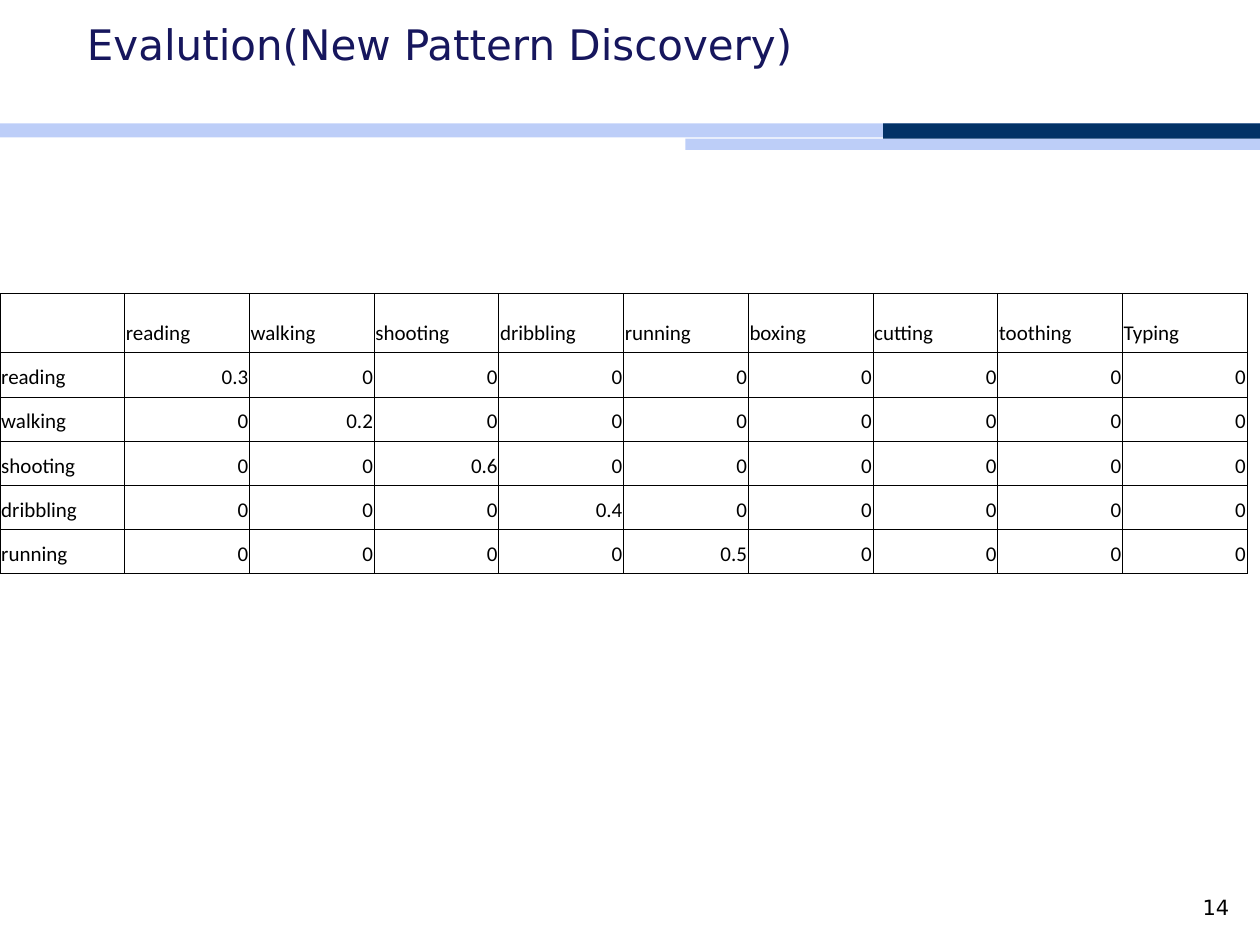
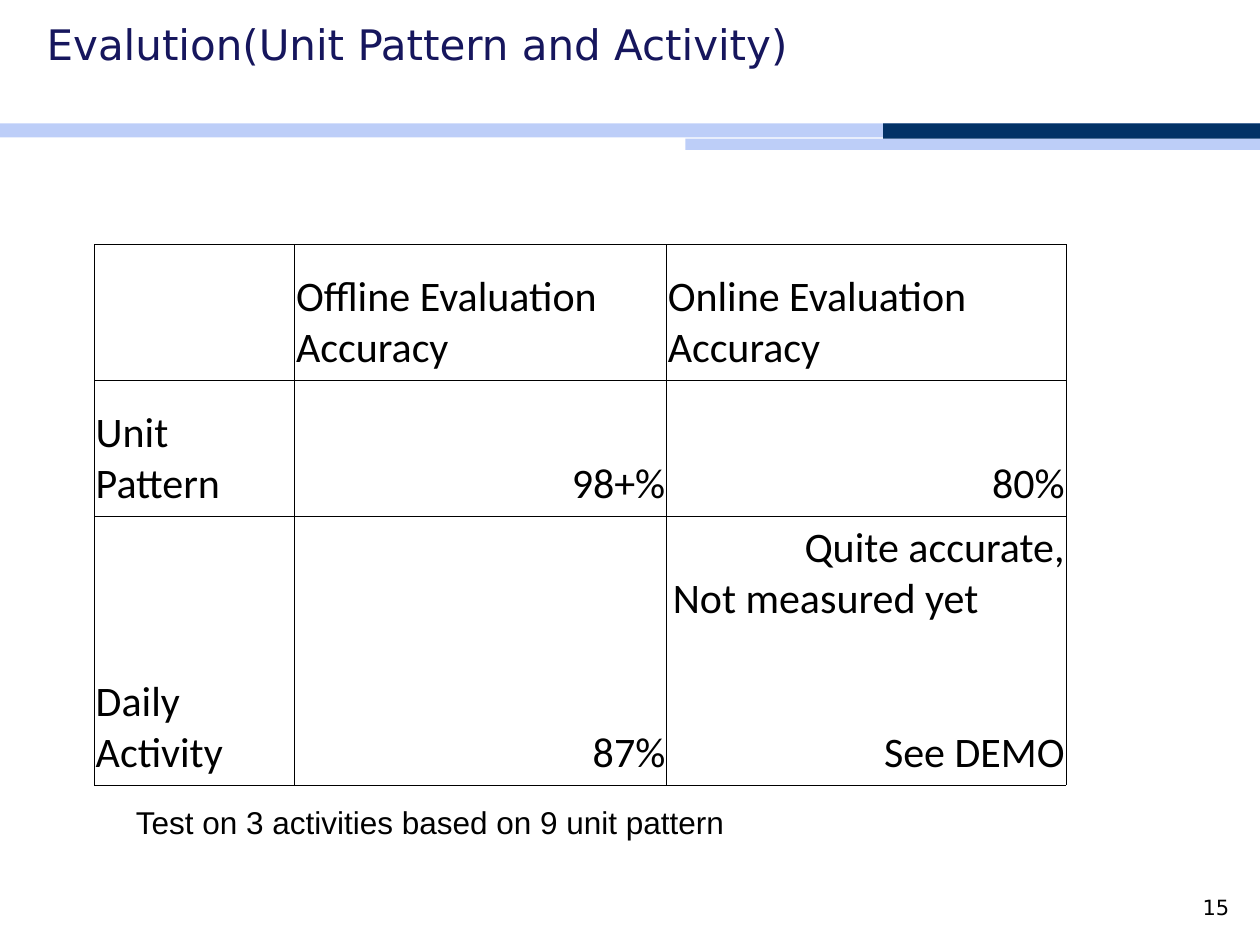
from lxml import etree
from pptx import Presentation
from pptx.dml.color import RGBColor
from pptx.enum.shapes import MSO_SHAPE as Shape
from pptx.enum.text import MSO_ANCHOR as Anchor, MSO_AUTO_SIZE as Fit, PP_ALIGN as Align
from pptx.oxml import parse_xml
from pptx.oxml.ns import nsdecls, qn
from pptx.util import Inches, Pt

NAVY = RGBColor(0x16, 0x16, 0x5D)
DARK = RGBColor(0x03, 0x32, 0x66)
LIGHT = RGBColor(0x7D, 0x9F, 0xF3)
BLACK = RGBColor(0, 0, 0)
SANS = "DejaVu Sans"

BANDS = [
    ((5.44, 1.1, 4.56, 0.09), LIGHT, 50),
    ((0, 0.98, 10, 0.11), LIGHT, 50),
    ((7.01, 0.98, 2.99, 0.12), DARK, 100),
]

ACTS = ["reading", "walking", "shooting", "dribbling", "running",
        "boxing", "cutting", "toothing", "Typing"]
SCORES = ["0.3", "0.2", "0.6", "0.4", "0.5"]
FOUND = [["", *ACTS]] + [
    [ACTS[i], *(score if i == j else "0" for j in range(len(ACTS)))]
    for i, score in enumerate(SCORES)]

RATES = [
    ["", "Offline Evaluation Accuracy", "Online Evaluation Accuracy"],
    ["Unit Pattern", "98+%", "80%"],
    ["Daily Activity", "87%", "Quite accurate,\nNot measured yet\nSee DEMO"],
]
NOTE = "Test on 3 activities based on 9 unit pattern"

PAGES = [
    {"title": "Evalution(New Pattern Discovery)", "left": 0.59, "num": "14",
     "rows": FOUND, "at": (0, 2.33), "size": 12,
     "wide": [0.99] * 10, "high": [0.47] + [0.35] * 5},
    {"title": "Evalution(Unit Pattern and Activity)", "left": 0.27, "num": "15",
     "rows": RATES, "at": (0.75, 1.94), "size": 24,
     "wide": [1.59, 2.95, 3.17], "high": [1.08, 1.08, 2.13]},
]


def style(para, size, face, color, align=Align.LEFT, space=None):
    para.alignment = align
    if space:
        para.line_spacing = space
    for run in para.runs:
        run.font.size = Pt(size)
        run.font.name = face
        run.font.color.rgb = color


def add_bands(slide):
    for box, color, alpha in BANDS:
        band = slide.shapes.add_shape(Shape.RECTANGLE, *map(Inches, box))
        band.shadow.inherit = False
        band.line.fill.background()
        band.fill.solid()
        band.fill.fore_color.rgb = color
        if alpha < 100:
            tint = band.fill._xPr.find(".//" + qn("a:srgbClr"))
            etree.SubElement(tint, qn("a:alpha")).set("val", str(alpha * 1000))


def add_title(slide, text, left):
    title = slide.shapes.title
    title.left, title.top, title.width, title.height = map(
        Inches, (left, 0.13, 8.67, 0.85))
    frame = title.text_frame
    frame.text = text
    frame.auto_size = Fit.NONE
    frame.vertical_anchor = Anchor.TOP
    style(frame.paragraphs[0], 24, SANS, NAVY, space=0.93)


def add_text(slide, text, box, size, face, align=Align.LEFT, space=0.93):
    frame = slide.shapes.add_textbox(*map(Inches, box)).text_frame
    frame.word_wrap = True
    frame.text = text
    style(frame.paragraphs[0], size, face, BLACK, align, space)
    return frame


def add_number(slide, num):
    frame = add_text(slide, num, (9.5, 7.1, 0.3, 0.2), 12, SANS, Align.CENTER, 1.06)
    frame.margin_left = frame.margin_right = 0
    frame.margin_top = frame.margin_bottom = 0
    frame.vertical_anchor = Anchor.BOTTOM


def rule_cell(cell):
    props = cell._tc.get_or_add_tcPr()
    for i, side in enumerate("LRTB"):
        props.insert(i, parse_xml(
            f'<a:ln{side} w="{Pt(0.45)}" {nsdecls("a")}><a:solidFill>'
            f'<a:srgbClr val="{BLACK}"/></a:solidFill></a:ln{side}>'))


def add_grid(slide, rows, at, wide, high, size):
    box = (*at, sum(wide), sum(high))
    grid = slide.shapes.add_table(len(rows), len(wide), *map(Inches, box)).table
    grid.first_row = grid.horz_banding = False
    for col, width in zip(grid.columns, wide):
        col.width = Inches(width)
    for row, height in zip(grid.rows, high):
        row.height = Inches(height)
    for r, row in enumerate(rows):
        for c, text in enumerate(row):
            cell = grid.cell(r, c)
            cell.text = text
            cell.margin_left = cell.margin_right = Inches(0.01)
            cell.vertical_anchor = Anchor.BOTTOM
            cell.fill.background()
            rule_cell(cell)
            for para in cell.text_frame.paragraphs:
                style(para, size, "Calibri", BLACK,
                      Align.RIGHT if r and c else Align.LEFT)
    return grid


def indent_wait(cell):
    wait = cell.text_frame.paragraphs[1]
    wait.alignment = Align.LEFT
    wait.space_after = Pt(58.5)
    wait._p.get_or_add_pPr().set("marL", str(Inches(0.04)))


def main():
    deck = Presentation()
    deck.slide_width, deck.slide_height = Inches(10), Inches(7.5)
    for page in PAGES:
        slide = deck.slides.add_slide(deck.slide_layouts[5])
        add_bands(slide)
        add_number(slide, page["num"])
        add_title(slide, page["title"], page["left"])
        grid = add_grid(slide, page["rows"], page["at"], page["wide"],
                        page["high"], page["size"])
    indent_wait(grid.cell(2, 2))
    add_text(slide, NOTE, (0.98, 6.35, 7.32, 0.38), 18, "Arial")
    deck.save("out.pptx")


if __name__ == "__main__":
    main()
